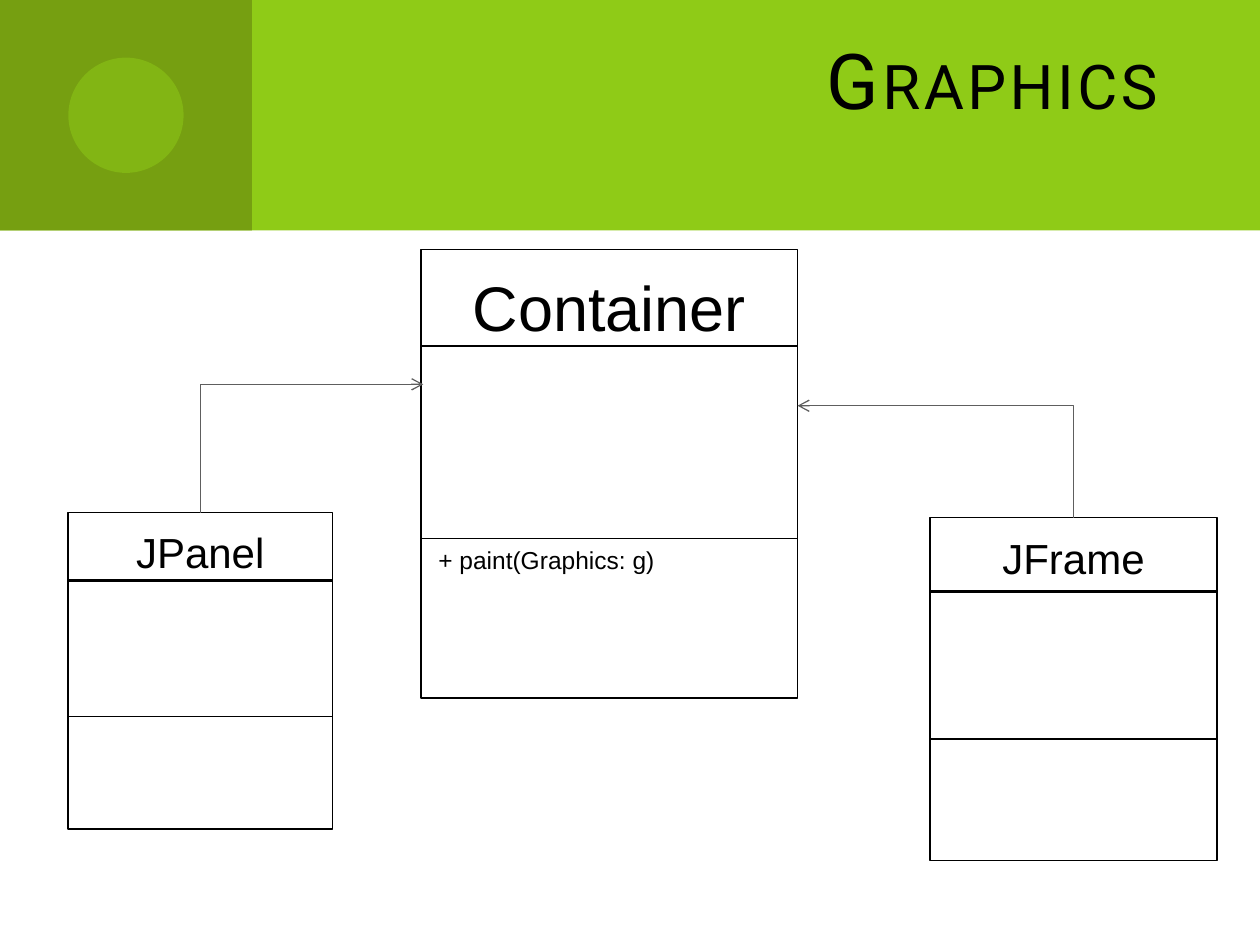
from lxml.etree import SubElement
from pptx import Presentation
from pptx.dml.color import RGBColor
from pptx.enum.shapes import MSO_CONNECTOR as CONNECTOR, MSO_SHAPE as SHAPE
from pptx.enum.text import MSO_ANCHOR as ANCHOR, MSO_AUTO_SIZE as AUTO_SIZE, PP_ALIGN as ALIGN
from pptx.oxml.ns import qn
from pptx.util import Inches, Pt

# Content
TITLE = "Graphics"
CLASSES = [  # name, (left, top, width, height), name size, name offset, method
    ("Container", (3.34, 1.98, 2.99, 3.56), 36, 0.1, "+ paint(Graphics: g)"),
    ("JFrame", (7.38, 4.11, 2.28, 2.72), 24, 0.07, None),
    ("JPanel", (0.54, 4.07, 2.1, 2.51), 24, 0.06, None),
]
INHERITANCE = [  # from the Container's side to the child's top
    ((6.33, 3.22), (8.52, 4.11)),
    ((3.36, 3.05), (1.59, 4.07)),
]

# Format
COLORS = {"band": "8FCB17", "corner": "769F11", "paper": "FFFFFF",
          "ink": "000000", "arrow": "5E5E5E"}
WIDTH, HEIGHT = 10, 7.5
BAND = 1.83
CORNER = WIDTH / 5
DOT = BAND / 2
DIVIDERS = [(0.215, 1.5), (0.645, 0.75)]  # share of box height, line width
INSET = 0.02


def color(name):
    return RGBColor.from_string(COLORS[name])


def add_block(slide, kind, box, fill, line=None):
    shape = slide.shapes.add_shape(kind, *map(Inches, box))
    shape.shadow.inherit = False
    shape.fill.solid()
    shape.fill.fore_color.rgb = color(fill)
    if line:
        shape.line.color.rgb = color(line)
        shape.line.width = Pt(0.75)
    else:
        shape.line.fill.background()
    return shape


def add_text(slide, text, box, font, paragraph_format, frame_format):
    frame = slide.shapes.add_textbox(*map(Inches, box)).text_frame
    paragraph = frame.paragraphs[0]
    run = paragraph.add_run()
    run.text = text
    run.font.color.rgb = color("ink")
    for target, values in ((frame, {"word_wrap": True, **frame_format}),
                           (paragraph, paragraph_format), (run.font, font)):
        for name, value in values.items():
            setattr(target, name, value)
    return run


def add_line(slide, kind, start, end, ink, width):
    line = slide.shapes.add_connector(kind, *map(Inches, (*start, *end)))
    line.line.color.rgb = color(ink)
    line.line.width = Pt(width)
    SubElement(line._element.spPr, qn("a:effectLst"))
    return line


def add_class(slide, name, box, size, offset, method):
    left, top, width, height = box
    add_block(slide, SHAPE.RECTANGLE, box, "paper", "ink")
    for share, weight in DIVIDERS:
        y = top + share * height
        add_line(slide, CONNECTOR.STRAIGHT, (left, y), (left + width, y), "ink", weight)
    grow = {"auto_size": AUTO_SIZE.SHAPE_TO_FIT_TEXT}
    add_text(slide, name, (left + INSET, top + offset, width - 2 * INSET, size / 54),
             {"name": "Arial", "size": Pt(size)},
             {"alignment": ALIGN.CENTER, "space_after": Pt(10)}, grow)
    if method:
        add_text(slide, method, (left + 2 * INSET, y, width - 4 * INSET, 0.34),
                 {"name": "Arial", "size": Pt(14)}, {}, grow)


def add_inheritance(slide, parent, child):
    connector = add_line(slide, CONNECTOR.ELBOW, parent, child, "arrow", 0.75)
    # One bend: across from the parent, then down to the child
    connector._element.spPr.find(qn("a:prstGeom")).set("prst", "bentConnector2")
    SubElement(connector.line._get_or_add_ln(), qn("a:headEnd"), type="arrow")


def main():
    presentation = Presentation()
    presentation.slide_width, presentation.slide_height = Inches(WIDTH), Inches(HEIGHT)
    slide = presentation.slides.add_slide(presentation.slide_layouts[6])

    # Header
    add_block(slide, SHAPE.RECTANGLE, (0, 0, WIDTH, BAND), "band")
    add_block(slide, SHAPE.RECTANGLE, (0, 0, CORNER, BAND), "corner")
    dot = add_block(slide, SHAPE.OVAL,
                    ((CORNER - DOT) / 2, (BAND - DOT) / 2, DOT, DOT), "band")
    dot_color = dot._element.spPr.find(qn("a:solidFill"))[0]
    SubElement(dot_color, qn("a:alpha"), val="50000")
    title = add_text(slide, TITLE, (1.47, 0, 8.04, 1.25),
                     {"name": "Roboto", "size": Pt(44)}, {"alignment": ALIGN.RIGHT},
                     {"vertical_anchor": ANCHOR.MIDDLE, "auto_size": AUTO_SIZE.NONE})
    for name, value in {"cap": "small", "spc": "200"}.items():
        title._r.get_or_add_rPr().set(name, value)

    # Class diagram
    for entry in CLASSES:
        add_class(slide, *entry)
    for parent, child in INHERITANCE:
        add_inheritance(slide, parent, child)

    presentation.save("out.pptx")


if __name__ == "__main__":
    main()
